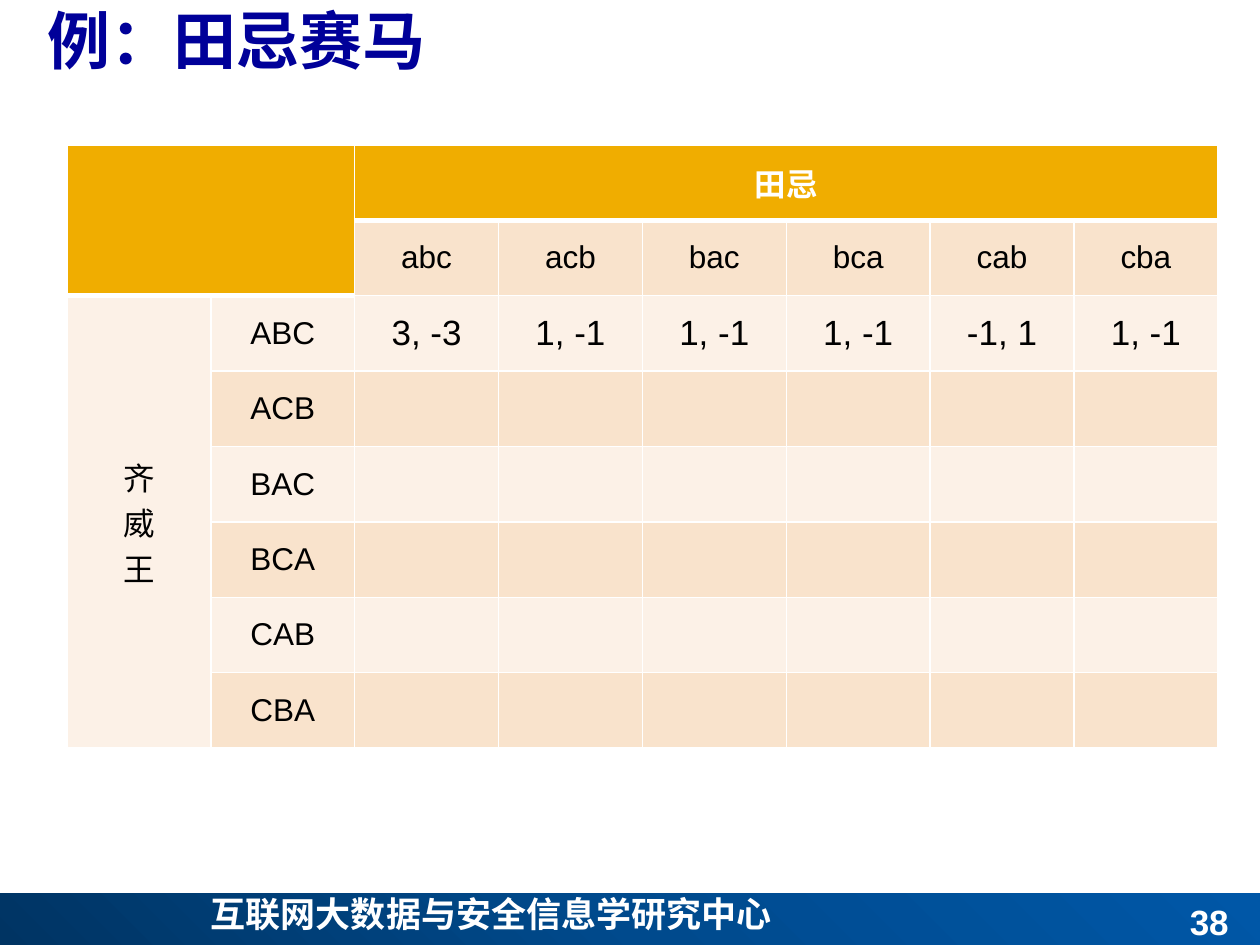
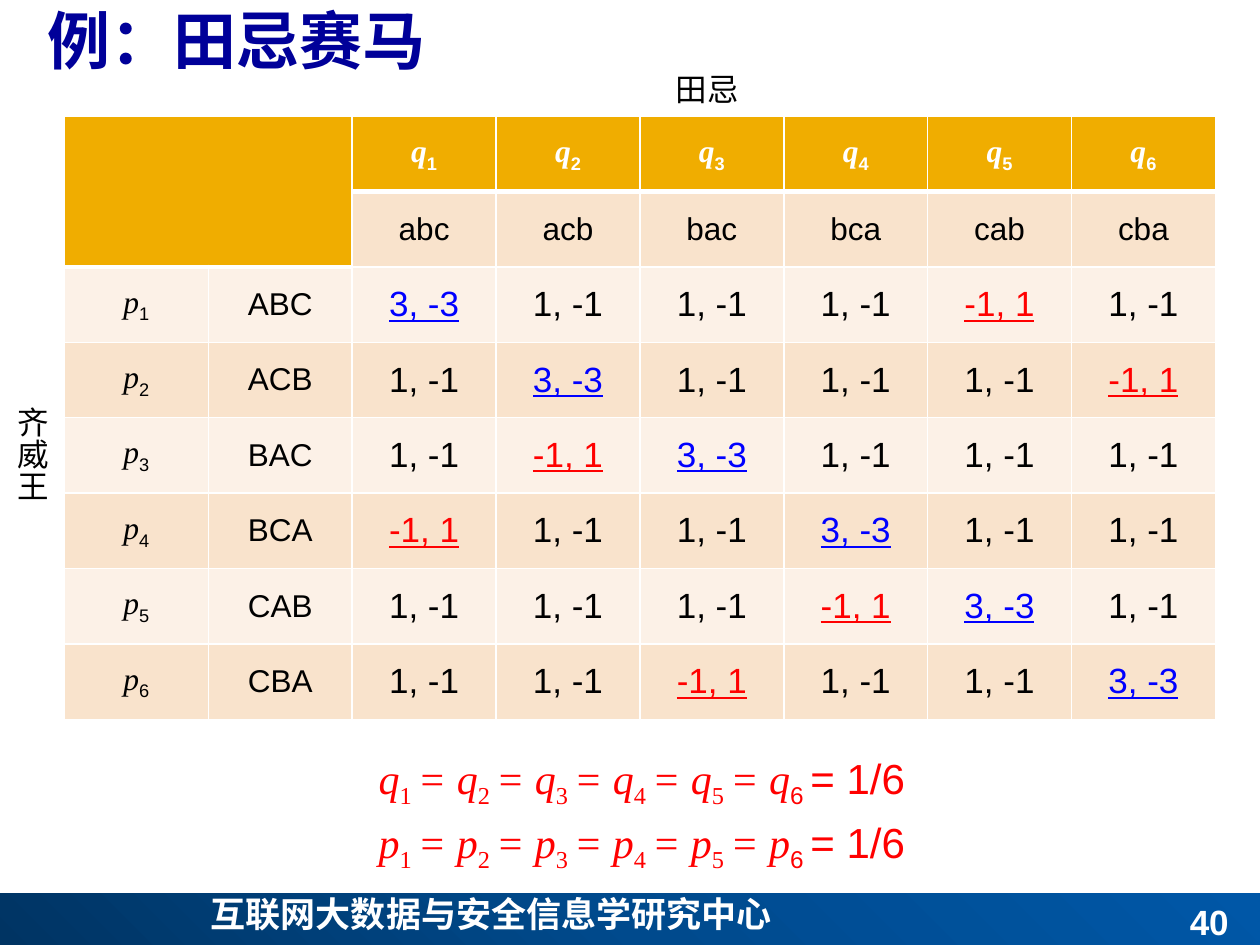
"""Build two slides on the payoff table of the Tian Ji horse race."""
from dataclasses import dataclass
from itertools import permutations

from pptx import Presentation
from pptx.dml.color import RGBColor
from pptx.enum.shapes import MSO_SHAPE
from pptx.enum.text import MSO_ANCHOR, PP_ALIGN
from pptx.oxml import parse_xml
from pptx.oxml.ns import nsdecls, qn
from pptx.util import Cm, Pt

RECTANGLE = MSO_SHAPE.RECTANGLE
TOP, MIDDLE, BOTTOM = MSO_ANCHOR.TOP, MSO_ANCHOR.MIDDLE, MSO_ANCHOR.BOTTOM
LEFT, CENTER, RIGHT = PP_ALIGN.LEFT, PP_ALIGN.CENTER, PP_ALIGN.RIGHT
JUSTIFY = PP_ALIGN.JUSTIFY

TITLE = "例：田忌赛马"
CENTRE_NAME = "互联网大数据与安全信息学研究中心"
TIAN_JI = "田忌"
KING = "齐威王"
TIAN_ORDERS = ["".join(order) for order in permutations("abc")]
KING_ORDERS = [order.upper() for order in TIAN_ORDERS]
KING_WIN, USUAL, KING_LOSS = "3, -3", "1, -1", "-1, 1"
LOSS_COLUMNS = (4, 5, 1, 0, 3, 2)


@dataclass(frozen=True)
class Theme:
    """Colours, fonts and type sizes of the slides."""

    white: str = "FFFFFF"
    black: str = "000000"
    navy: str = "000099"
    blue: str = "0000FF"
    red: str = "FF0000"
    gold: str = "F0AD00"
    band_dark: str = "F9E3CC"
    band_light: str = "FCF1E7"
    footer_stops: tuple = ((0, "003463"), (50, "004A8D"), (100, "0057A7"))
    sans: str = "Arial"
    serif: str = "Times New Roman"
    chinese: str = "Noto Sans CJK SC"
    title_size: int = 36
    formula_size: int = 24
    large_size: int = 20
    body_size: int = 18
    tight: float = 0.84


class Deck:
    """Holds the theme and the current slide and draws each kind of element."""

    def __init__(self, theme):
        self.theme = theme
        self.presentation = Presentation()
        self.presentation.slide_width = Cm(25.4)
        self.presentation.slide_height = Cm(19.05)
        self.slide = None

    def add_slide(self, number):
        """Start a slide with its title, footer band and page number."""
        theme = self.theme
        self.slide = self.presentation.slides.add_slide(self.presentation.slide_layouts[6])
        self.footer_band()
        self.text_box(4, 17.96, 17.4, 1.12, [CENTRE_NAME], size=theme.large_size,
                      color=theme.white, bold=True, font=theme.chinese,
                      align=JUSTIFY, spacing=0.9)
        self.text_box(0.71, -0.08, 24.69, 2, [TITLE], anchor=MIDDLE, size=theme.title_size,
                      color=theme.navy, bold=True, align=LEFT, spacing=theme.tight)
        self.text_box(19.1, 18.01, 5.92, 1.12, [str(number)], anchor=BOTTOM,
                      size=theme.large_size, color=theme.white, bold=True, align=RIGHT)

    def footer_band(self):
        """Draw the blue gradient band along the bottom."""
        band = self.slide.shapes.add_shape(RECTANGLE, Cm(0), Cm(18.01), Cm(25.4), Cm(1.12))
        band.shadow.inherit = False
        band.line.fill.background()
        band.fill.background()
        stops = "".join(
            f'<a:gs pos="{position * 1000}"><a:srgbClr val="{color}"/></a:gs>'
            for position, color in self.theme.footer_stops)
        gradient = parse_xml(
            f'<a:gradFill {nsdecls("a")} rotWithShape="1"><a:gsLst>{stops}</a:gsLst>'
            '<a:path path="circle"><a:fillToRect t="100000" r="100000"/></a:path></a:gradFill>')
        properties = band._element.spPr
        properties.replace(properties.find(qn("a:noFill")), gradient)

    def text_box(self, left, top, width, height, lines, anchor=TOP, wrap=True, **style):
        """Add a text box with one paragraph for each line."""
        box = self.slide.shapes.add_textbox(Cm(left), Cm(top), Cm(width), Cm(height))
        box.text_frame.word_wrap = wrap
        box.text_frame.vertical_anchor = anchor
        self.set_lines(box.text_frame, lines, **style)

    def set_lines(self, frame, lines, **style):
        """Fill a text frame with lines, each a string or a list of symbol parts."""
        for index, line in enumerate(lines):
            paragraph = frame.add_paragraph() if index else frame.paragraphs[0]
            self.set_line(paragraph, line, **style)

    def set_line(self, paragraph, line, size=None, color=None, bold=False,
                 underline=False, font=None, align=CENTER, spacing=None):
        """Put a line into a paragraph and set its style."""
        theme = self.theme
        paragraph.alignment = align
        paragraph.line_spacing = spacing
        paragraph.font.size = Pt(size or theme.body_size)
        paragraph.font.color.rgb = RGBColor.from_string(color or theme.black)
        paragraph.font.bold = bold
        paragraph.font.underline = underline
        if isinstance(line, str):
            paragraph.add_run().text = line
            paragraph.font.name = font or theme.sans
            paragraph.font._rPr.append(
                parse_xml(f'<a:ea {nsdecls("a")} typeface="{theme.chinese}"/>'))
            return
        for text, run_font, italic, subscript in line:
            run = paragraph.add_run()
            run.text = text
            run.font.name = run_font
            run.font.italic = italic
            if subscript:
                run._r.get_or_add_rPr().set("baseline", "-25000")

    def symbol(self, letter, index):
        """Return the parts of an italic letter with an upright index."""
        return [(letter, self.theme.serif, True, False),
                (str(index), self.theme.sans, False, True)]

    def formula(self, top, letter):
        """Add the chain of six equal probabilities."""
        theme = self.theme
        parts = []
        for index in range(1, 7):
            parts.append((f"= {letter}" if index > 1 else letter, theme.serif, True, False))
            index_font = theme.sans if index == 6 else theme.serif
            parts.append((f"{index} ", index_font, False, True))
        parts.append(("= 1/6", theme.sans, False, False))
        self.text_box(7.11, top, 11.66, 1.27, [parts], wrap=False,
                      size=theme.formula_size, color=theme.red)

    def payoff_table(self, left, top, merges):
        """Add the banded 8 by 8 table with the orders of both players."""
        frame = self.slide.shapes.add_table(8, 8, Cm(left), Cm(top), Cm(23.2), Cm(12.19))
        table = frame.table
        table.first_row = table.horz_banding = False
        for column in table.columns:
            column.width = Cm(2.9)
        for row in table.rows:
            row.height = Cm(1.52)
        for first, last in merges:
            table.cell(*first).merge(table.cell(*last))
        for row in range(8):
            for column in range(8):
                self.style_cell(table.cell(row, column), row, column)
        for index, (tian, king) in enumerate(zip(TIAN_ORDERS, KING_ORDERS), 2):
            self.set_lines(table.cell(1, index).text_frame, [tian])
            self.set_lines(table.cell(index, 1).text_frame, [king])
        return table

    def style_cell(self, cell, row, column):
        """Set the fill, anchor and white borders of a cell."""
        theme = self.theme
        header_end = 2 if column < 2 else 1
        edges = {"L": None, "R": None, "T": row, "B": row + cell.span_height}
        properties = cell._tc.get_or_add_tcPr()
        for side, edge in edges.items():
            width = Pt(3 if edge == header_end else 1)
            properties.append(parse_xml(
                f'<a:ln{side} {nsdecls("a")} w="{width}"><a:solidFill>'
                f'<a:srgbClr val="{theme.white}"/></a:solidFill></a:ln{side}>'))
        band = theme.band_dark if row % 2 else theme.band_light
        cell.fill.solid()
        cell.fill.fore_color.rgb = RGBColor.from_string(
            theme.gold if row < header_end else band)
        cell.vertical_anchor = MIDDLE

    def payoffs(self, table, king, highlight):
        """Fill one row of payoffs, marking the special outcomes if asked."""
        theme = self.theme
        marks = {KING_WIN: theme.blue, KING_LOSS: theme.red}
        for tian in range(6):
            value = USUAL
            if tian == king:
                value = KING_WIN
            elif tian == LOSS_COLUMNS[king]:
                value = KING_LOSS
            marked = highlight and value in marks
            self.set_lines(table.cell(king + 2, tian + 2).text_frame, [value],
                           size=theme.large_size, underline=marked,
                           color=marks[value] if marked else theme.black)


def build_first_row_slide(deck):
    """Show the table with only its first row of payoffs."""
    deck.add_slide(38)
    merges = [((0, 0), (1, 1)), ((0, 2), (0, 7)), ((2, 0), (7, 0))]
    table = deck.payoff_table(1.35, 2.92, merges)
    deck.set_lines(table.cell(0, 2).text_frame, [TIAN_JI], color=deck.theme.white, bold=True)
    deck.set_lines(table.cell(2, 0).text_frame, KING)
    deck.payoffs(table, 0, highlight=False)


def build_full_slide(deck):
    """Show all payoffs and the mixed strategy of both players."""
    theme = deck.theme
    deck.add_slide(40)
    table = deck.payoff_table(1.3, 2.34, [((0, 0), (1, 1))])
    for index in range(1, 7):
        deck.set_lines(table.cell(0, index + 1).text_frame, [deck.symbol("q", index)],
                       color=theme.white, bold=True)
        deck.set_lines(table.cell(index + 1, 0).text_frame, [deck.symbol("p", index)])
        deck.payoffs(table, index - 1, highlight=True)
    deck.text_box(0, 8.13, 1.35, 2.57, KING, spacing=theme.tight)
    deck.text_box(13.36, 1.42, 1.8, 1.02, [TIAN_JI], wrap=False, spacing=theme.tight)
    deck.formula(15.04, "q")
    deck.formula(16.33, "p")


def main():
    """Build and save the presentation."""
    deck = Deck(Theme())
    build_first_row_slide(deck)
    build_full_slide(deck)
    deck.presentation.save("out.pptx")


if __name__ == "__main__":
    main()
